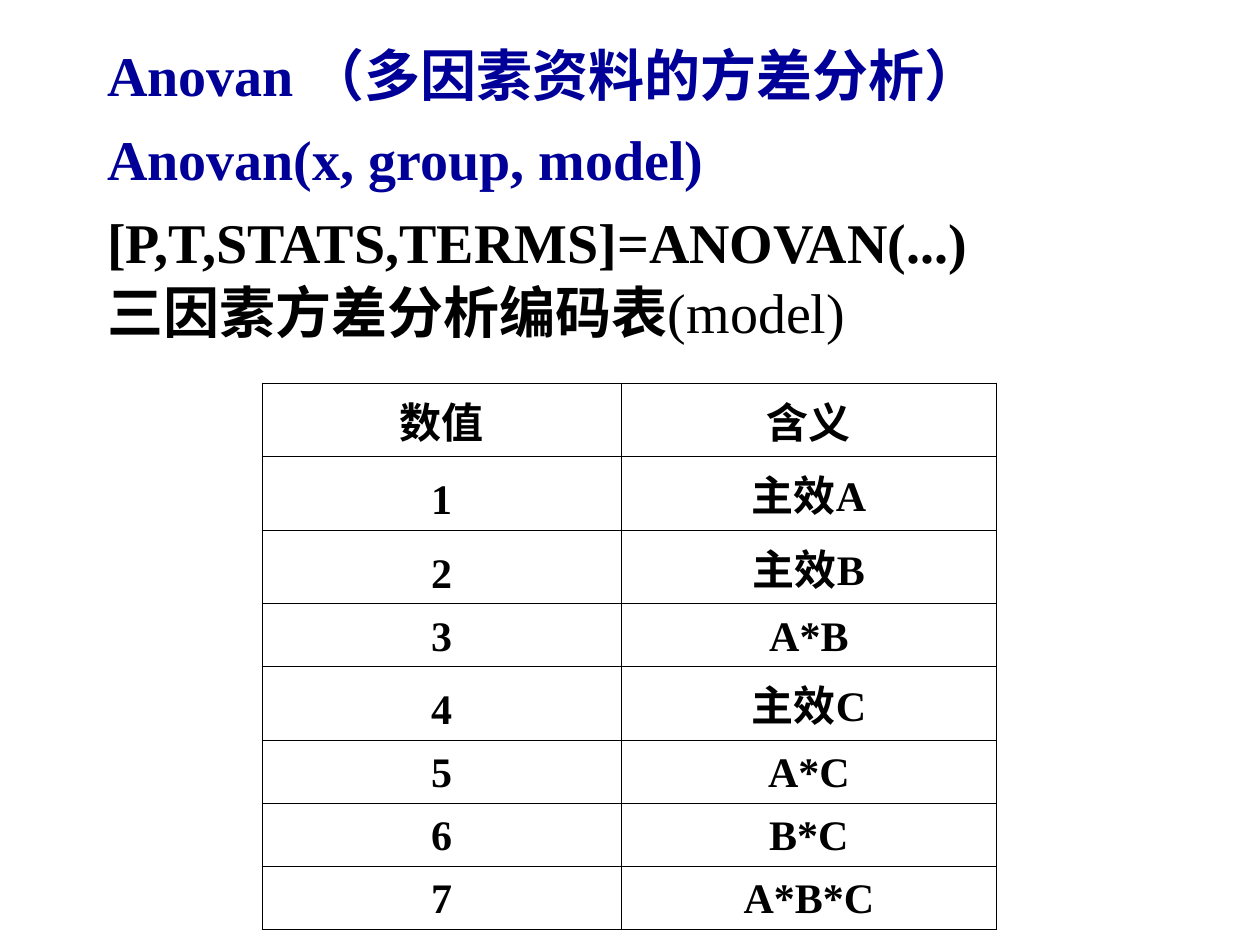
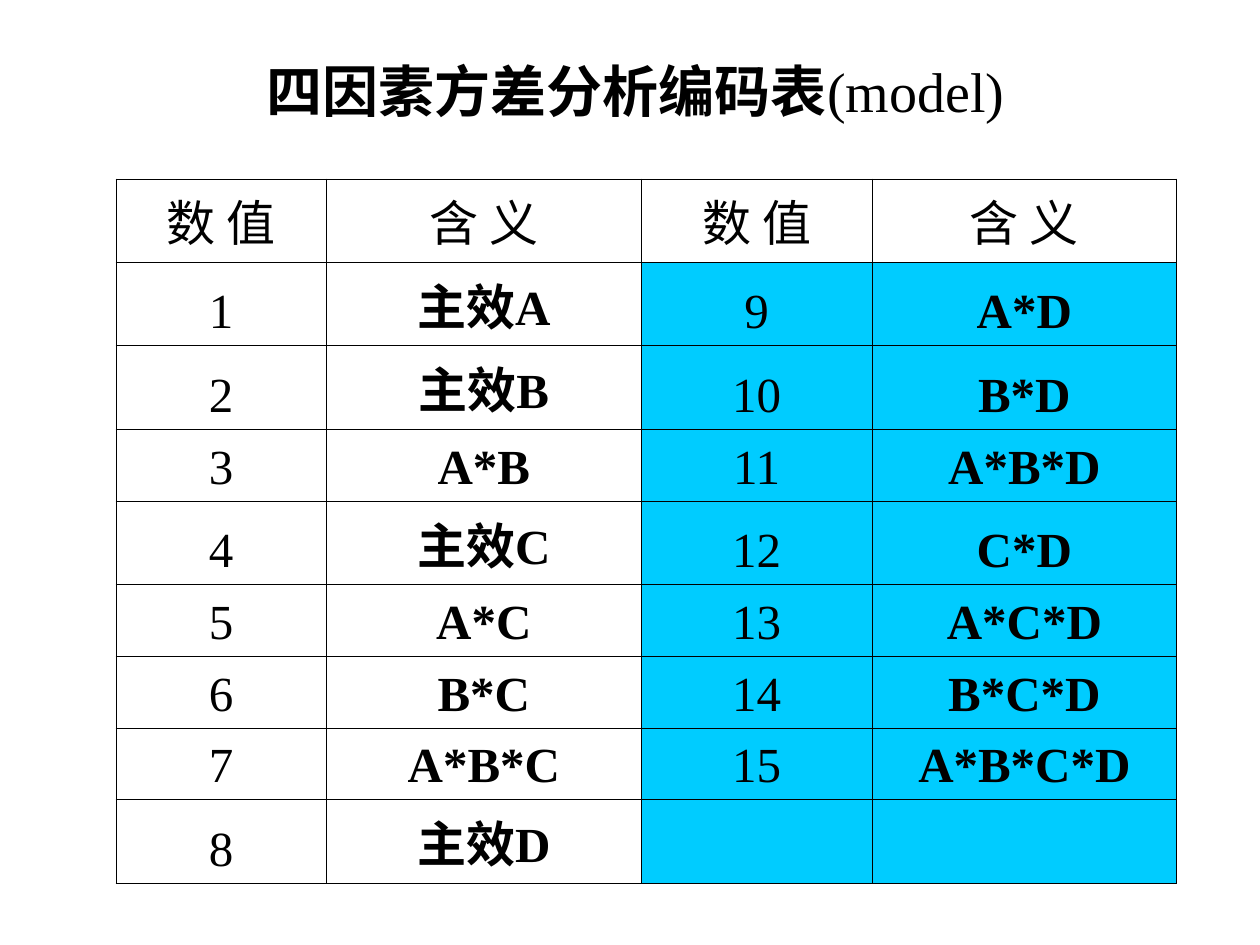
from lxml import etree
from pptx import Presentation
from pptx import util as u
from pptx.dml.color import RGBColor
from pptx.enum import text
from pptx.oxml import ns

FONT = "Times New Roman"
BLACK, NAVY, CYAN = "000000", "000099", "00CCFF"
TITLE_SIZE = 32
TITLE_ONLY = 5
LEFT, CENTER = text.PP_ALIGN.LEFT, text.PP_ALIGN.CENTER


def color(code):
    return RGBColor.from_string(code)


def add_text(para, words, size=TITLE_SIZE, fill=BLACK, bold=True):
    span = para.add_run()
    span.text = words
    span.font.name = FONT
    span.font.size = u.Pt(size)
    span.font.bold = bold
    span.font.color.rgb = color(fill)


def place_title(page, left, top, width, height):
    """Move the title placeholder and return its text frame."""
    title = page.shapes.title
    title.left, title.top = u.Inches(left), u.Inches(top)
    title.width, title.height = u.Inches(width), u.Inches(height)
    frame = title.text_frame
    frame.word_wrap = True
    frame.auto_size = text.MSO_AUTO_SIZE.NONE
    frame.vertical_anchor = text.MSO_ANCHOR.TOP
    return frame


def write_line(para, spans, align=LEFT, before=0, spacing=1.0):
    """Fill a paragraph with (words, format) pairs."""
    para.alignment = align
    para.space_before = u.Pt(before)
    para.line_spacing = spacing
    for words, style in spans:
        add_text(para, words, **style)


def coding_heading(factors):
    return [(factors + "因素方差分析编码表", {}), ("(model)", {"bold": False})]


def model_term(value):
    """Name the effect whose factors are the set bits of a model value."""
    factors = [name for bit, name in enumerate("ABCD") if value >> bit & 1]
    return "*".join(factors) if len(factors) > 1 else "主效" + factors[0]


def set_borders(cell, width=0.45):
    properties = cell._tc.get_or_add_tcPr()
    for side in ("lnL", "lnR", "lnT", "lnB"):
        line = etree.SubElement(properties, ns.qn("a:" + side), w=str(u.Pt(width)))
        fill = etree.SubElement(line, ns.qn("a:solidFill"))
        etree.SubElement(fill, ns.qn("a:srgbClr"), val=BLACK)


def format_cell(cell, words, size, bold, fill=None):
    set_borders(cell)
    if fill:
        cell.fill.solid()
        cell.fill.fore_color.rgb = color(fill)
    else:
        cell.fill.background()
    cell.vertical_anchor = text.MSO_ANCHOR.BOTTOM
    para = cell.text_frame.paragraphs[0]
    para.alignment = CENTER
    if words:
        add_text(para, words, size=size, bold=bold)


def add_coding_table(page, left, top, widths, row_height, rows, size,
                     bold_at, fill_at):
    """Draw rows; bold_at and fill_at give a cell's format from (row, column)."""
    frame = page.shapes.add_table(
        len(rows), len(widths), u.Inches(left), u.Inches(top),
        u.Inches(sum(widths)), u.Inches(row_height * len(rows)))
    table = frame.table
    table.first_row = table.horz_banding = False
    for column, width in zip(table.columns, widths):
        column.width = u.Inches(width)
    for r, row in enumerate(rows):
        table.rows[r].height = u.Inches(row_height)
        for c, words in enumerate(row):
            format_cell(table.cell(r, c), words, size, bold_at(r, c), fill_at(r, c))


def add_three_factor_page(deck):
    page = deck.slides.add_slide(deck.slide_layouts[TITLE_ONLY])
    frame = place_title(page, 0.75, 0.33, 8.5, 6.33)
    lines = [
        ([("Anovan （多因素资料的方差分析）", {"fill": NAVY})], 0, 0.9),
        ([("Anovan(x, group, model)", {"fill": NAVY})], 9, 1.0),
        ([("[P,T,STATS,TERMS]=ANOVAN(...)", {})], 9, 1.0),
        (coding_heading("三"), 6, 0.9),
    ]
    for index, (spans, before, spacing) in enumerate(lines):
        para = frame.add_paragraph() if index else frame.paragraphs[0]
        write_line(para, spans, before=before, spacing=spacing)

    rows = [("数值", "含义")] + [(str(v), model_term(v)) for v in range(1, 8)]
    add_coding_table(page, 2.08, 3.04, [2.85, 2.98], 0.5, rows, 24,
                     bold_at=lambda r, c: True, fill_at=lambda r, c: None)


def add_four_factor_page(deck):
    page = deck.slides.add_slide(deck.slide_layouts[TITLE_ONLY])
    frame = place_title(page, 0.92, 0.5, 8.25, 0.58)
    write_line(frame.paragraphs[0], coding_heading("四"), align=CENTER, spacing=0.8)

    entries = [(str(v), model_term(v)) for v in range(1, 16)] + [("", "")]
    rows = [("数 值", "含 义") * 2]
    rows += [a + b for a, b in zip(entries[:8], entries[8:])]
    add_coding_table(page, 0.92, 1.42, [1.67, 2.5, 1.83, 2.42], 0.57, rows, 28,
                     bold_at=lambda r, c: r > 0 and c % 2 == 1,
                     fill_at=lambda r, c: CYAN if r > 0 and c > 1 else None)


def main():
    deck = Presentation()
    deck.slide_width, deck.slide_height = u.Inches(10), u.Inches(7.5)
    add_three_factor_page(deck)
    add_four_factor_page(deck)
    deck.save("out.pptx")


if __name__ == "__main__":
    main()
